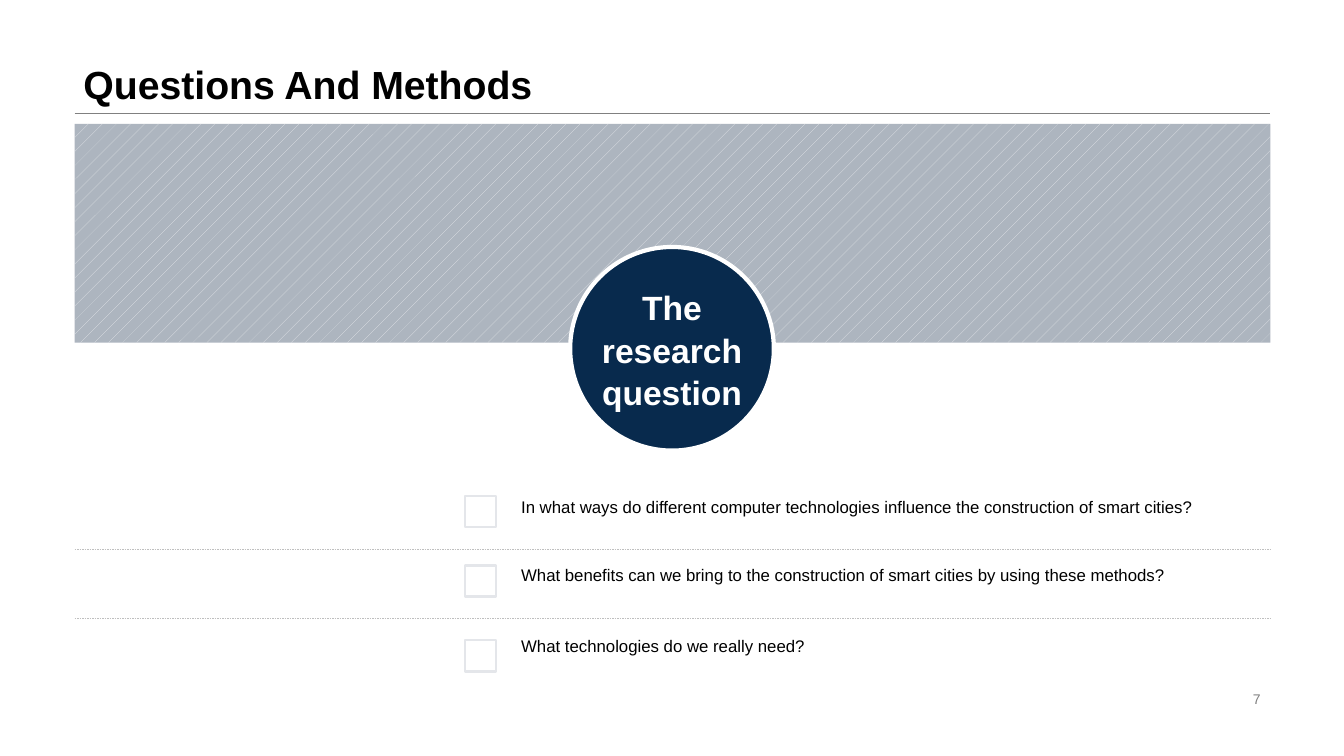
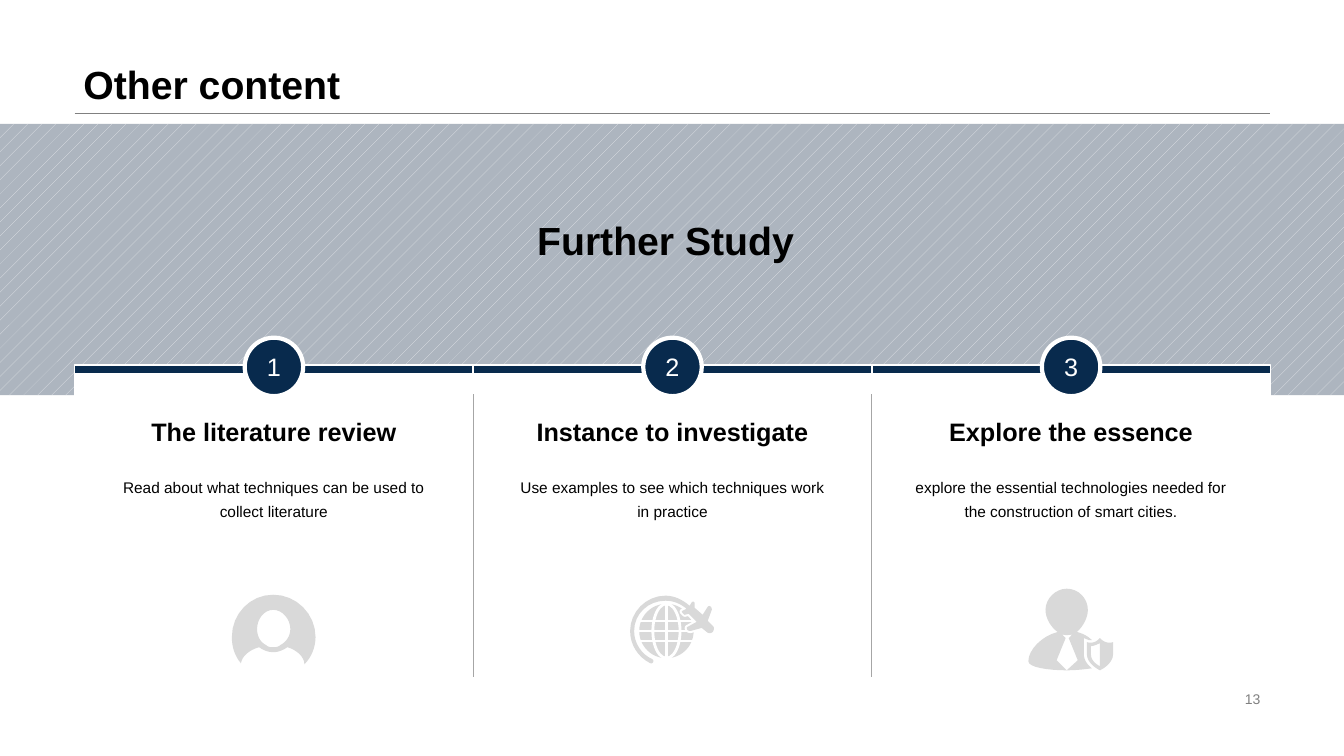
"""Build two slides: the research questions and the plan for further study."""
from lxml.etree import SubElement
from pptx import Presentation
from pptx.dml.color import RGBColor
from pptx.enum.dml import MSO_LINE, MSO_PATTERN
from pptx.enum.shapes import MSO_CONNECTOR, MSO_SHAPE
from pptx.enum.text import MSO_ANCHOR as Anchor, PP_ALIGN as Align
from pptx.oxml.ns import qn
from pptx.util import Inches, Pt

NAVY = RGBColor(0x08, 0x2A, 0x4D)
STEEL = RGBColor(0xAD, 0xB5, 0xBF)
PALE = RGBColor(0xE4, 0xE6, 0xEA)
ICON = RGBColor(0xD9, 0xD9, 0xD9)
DOTS = RGBColor(0xBF, 0xBF, 0xBF)
RULE = RGBColor(0xA6, 0xA6, 0xA6)
GRAY = RGBColor(0x80, 0x80, 0x80)
BLACK = RGBColor(0, 0, 0)
WHITE = RGBColor(255, 255, 255)

WIDE, HIGH = 13.33, 7.5
LEFT, RIGHT = 0.74, 12.6
SPAN = RIGHT - LEFT
BAND = 1.23

ASKS = [
    ("In what ways do different computer technologies influence the construction of smart cities?", 4.77, 4.92),
    ("What benefits can we bring to the construction of smart cities by using these methods?", 5.44, 5.61),
    ("What technologies do we really need?", 6.15, 6.35),
]
SPLITS = [5.45, 6.13]

STEPS = [
    ("The literature review", "Read about what techniques can be used to collect literature"),
    ("Instance to investigate", "Use examples to see which techniques work in practice"),
    ("Explore the essence", "explore the essential technologies needed for the construction of smart cities."),
]

PERSON = [
    "271 590, 248 590 230 609 230 632, 230 642 233 651 239 658, 240 651 247 645 257 642, "
    "261 645 266 647 271 647, 276 647 281 645 285 642, 295 645 302 652 302 659, "
    "309 652 313 642 313 632, 313 609 294 590 271 590",
    "271 642, 268 642 266 642 264 640, 258 637 255 631 255 624, 255 614 262 605 271 605, "
    "280 605 288 614 288 624, 288 631 284 637 278 640, 276 642 274 642 271 642",
]
FLIGHT = [
    "660 591, 669 591 677 595 684 601, 686 598, 686 597 687 597 688 597, 689 598, 689 603, "
    "697 610, 702 602, 703 601 704 601 705 602, 706 603 706 604 706 605, 702 616, 707 621, "
    "709 623 708 625 707 627, 706 628 703 629 701 627, 696 623, 685 626, 684 626 683 626 682 625, "
    "681 624 681 622 682 622, 691 617, 683 609, 679 610, 677 608, 676 607 676 606 677 606, "
    "681 604, 675 599 668 596 660 596, 643 596 629 609 629 626, 629 638 636 649 647 654, "
    "649 655 648 659 645 658, 633 652 625 640 625 626, 625 607 641 591 660 591",
]
GUARD = [
    "1091 638, 1087 640 1084 641 1082 641, 1082 649, 1082 655 1087 659 1091 661",
    "1091 633, 1097 640 1104 637 1104 637, 1104 649, 1104 659 1091 665 1091 665, "
    "1091 665 1078 659 1078 649, 1078 637, 1078 637 1085 640 1091 633",
    "1058 584, 1070 584 1079 594 1079 605, 1079 613 1074 622 1068 627, 1073 628 1079 631 1083 635, "
    "1081 635 1080 635 1080 635, 1075 633, 1075 649, 1075 655 1079 660 1083 663, "
    "1076 664 1067 665 1058 665, 1069 655, 1060 633, 1064 629, 1062 630 1060 630 1058 630, "
    "1056 630 1055 630 1053 629, 1057 633, 1048 655, 1058 665, 1039 665 1020 662 1020 656, "
    "1020 645 1033 631 1049 627, 1042 622 1037 613 1037 605, 1037 594 1047 584 1058 584",
]


def paint(shape, fill, edge=None, pt=1):
    shape.shadow.inherit = False
    if fill is None:
        shape.fill.background()
    else:
        shape.fill.solid()
        shape.fill.fore_color.rgb = fill
    if edge is None:
        shape.line.fill.background()
    else:
        shape.line.color.rgb = edge
        shape.line.width = Pt(pt)


def block(slide, box, fill, edge=None, pt=1, kind=MSO_SHAPE.RECTANGLE):
    shape = slide.shapes.add_shape(kind, *map(Inches, box))
    paint(shape, fill, edge, pt)
    return shape


def write(shape, text, size, color=BLACK, bold=False, align=Align.LEFT,
          anchor=Anchor.MIDDLE, gap=1.0):
    frame = shape.text_frame
    frame.word_wrap = True
    frame.vertical_anchor = anchor
    para = frame.paragraphs[0]
    para.text = text
    para.alignment = align
    para.line_spacing = gap
    font = para.font
    font.name, font.size, font.bold = "Arial", Pt(size), bold
    font.color.rgb = color


def label(slide, box, text, size, **style):
    write(slide.shapes.add_textbox(*map(Inches, box)), text, size, **style)


def disc(slide, mid, top, size, text, pt, **style):
    shape = block(slide, (mid - size / 2, top, size, size), NAVY, WHITE, 3, MSO_SHAPE.OVAL)
    frame = shape.text_frame
    frame.margin_left = frame.margin_right = frame.margin_top = frame.margin_bottom = 0
    write(shape, text, pt, WHITE, align=Align.CENTER, **style)


def rule(slide, start, end, color, pt, dash=None):
    line = slide.shapes.add_connector(MSO_CONNECTOR.STRAIGHT, *map(Inches, start + end))
    line.line.color.rgb = color
    line.line.width = Pt(pt)
    if dash:
        line.line.dash_style = dash
    SubElement(line._element.spPr, qn("a:effectLst"))


def band(slide, left, width, height):
    fill = block(slide, (left, BAND, width, height), STEEL).fill
    fill.patterned()
    fill.pattern = MSO_PATTERN.PERCENT_5
    fill.fore_color.rgb = PALE
    fill.back_color.rgb = STEEL


def trace(text, steps=8):
    """Turn lines (2 numbers) and curves (6 numbers) into points."""
    points = []
    for part in text.split(","):
        nums = [Inches(int(n) / 100) for n in part.split()]
        if len(nums) == 2:
            points.append(tuple(nums))
            continue
        knots = [points[-1], *zip(nums[::2], nums[1::2])]
        for i in range(1, steps + 1):
            t = i / steps
            ratio = ((1 - t) ** 3, 3 * t * (1 - t) ** 2, 3 * t * t * (1 - t), t ** 3)
            points.append(tuple(sum(r * k[axis] for r, k in zip(ratio, knots)) for axis in (0, 1)))
    return points


def icon(slide, paths, fill=ICON, edge=None, pt=1):
    loops = [trace(path) for path in paths]
    form = slide.shapes.build_freeform(*loops[0][0])
    for i, loop in enumerate(loops):
        if i:
            form.move_to(*loop[0])
        form.add_line_segments(loop[1:], close=True)
    paint(form.convert_to_shape(), fill, edge, pt)


def globe(slide, x, y, r):
    oval = MSO_SHAPE.OVAL
    block(slide, (x - r, y - r, 2 * r, 2 * r), ICON, kind=oval)
    block(slide, (x - r / 2, y - r, r, 2 * r), None, WHITE, 2, oval)
    rule(slide, (x, y - r), (x, y + r), WHITE, 2)
    for shift in (-0.1, 0, 0.1):
        rule(slide, (x - r, y + shift), (x + r, y + shift), WHITE, 2)
    icon(slide, FLIGHT, WHITE, WHITE, 3)
    icon(slide, FLIGHT)


def start(deck, title, page):
    slide = deck.slides.add_slide(deck.slide_layouts[6])
    rule(slide, (LEFT, 1.12), (RIGHT, 1.12), GRAY, 0.25)
    heading(slide, 0.73, 0, SPAN, title)
    label(slide, (9.42, 6.82, 3.18, 0.23), page, 10, color=GRAY, align=Align.RIGHT)
    return slide


def heading(slide, left, top, width, text):
    label(slide, (left, top, width, 1.12), text, 28, bold=True, anchor=Anchor.BOTTOM, gap=0.9)


def questions(deck):
    slide = start(deck, "Questions And Methods", "7")
    band(slide, LEFT, SPAN, 2.17)
    disc(slide, WIDE / 2, 2.45, 2.02, "The research question ", 24, bold=True, gap=1.05)
    for text, top, tick in ASKS:
        block(slide, (4.61, tick, 0.31, 0.31), WHITE, PALE, 1.75)
        label(slide, (5.07, top, 7.19, 0.52), text, 12)
    for y in SPLITS:
        rule(slide, (LEFT, y), (RIGHT, y), DOTS, 0.25, MSO_LINE.DASH)


def study(deck):
    slide = start(deck, "Other content", "13")
    band(slide, 0, WIDE, 2.69)
    block(slide, (LEFT, 3.71, SPAN, 3.01), WHITE, WHITE)
    col = SPAN / len(STEPS)
    for i, (name, text) in enumerate(STEPS):
        left = LEFT + i * col
        mid = left + col / 2
        block(slide, (left, 3.62, col, 0.09), NAVY, WHITE)
        label(slide, (mid - 1.68, 3.99, 3.36, 0.58), name, 18, bold=True, align=Align.CENTER)
        label(slide, (mid - 1.68, 4.64, 3.36, 1.19), text, 11, align=Align.CENTER,
              anchor=Anchor.TOP, gap=1.3)
        if i:
            rule(slide, (left, 3.91), (left, 6.72), RULE, 0.5)
        disc(slide, mid, 3.35, 0.58, str(i + 1), 18)
    icon(slide, PERSON)
    globe(slide, 6.61, 6.26, 0.27)
    icon(slide, GUARD)
    heading(slide, 5.23, 1.55, 3, "Further Study")


def main():
    deck = Presentation()
    deck.slide_width, deck.slide_height = Inches(WIDE), Inches(HIGH)
    questions(deck)
    study(deck)
    deck.save("out.pptx")


if __name__ == "__main__":
    main()
